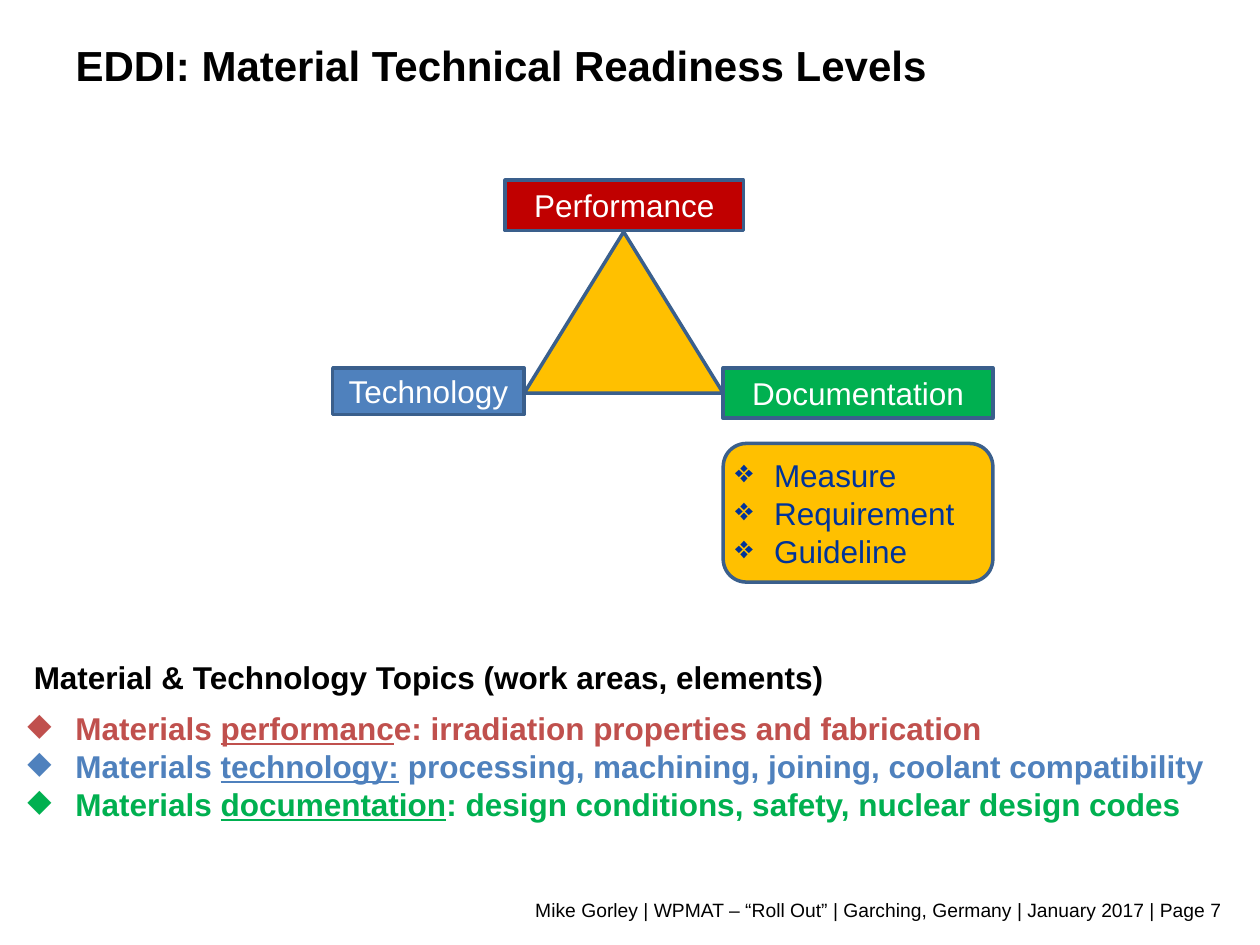
"""Build the material technical readiness levels slide."""
from dataclasses import dataclass

import lxml.etree
import pptx
import pptx.dml.color
import pptx.enum.shapes
import pptx.enum.text
import pptx.oxml.ns
import pptx.util

Inches = pptx.util.Inches
Shape = pptx.enum.shapes.MSO_SHAPE
Align = pptx.enum.text.PP_ALIGN
Anchor = pptx.enum.text.MSO_ANCHOR

BLACK, WHITE, NAVY = "000000", "FFFFFF", "003399"
RED, BLUE, GREEN, AMBER, OUTLINE = "C00000", "4F81BD", "00B050", "FFC000", "3A5F8C"
PLAIN_INSETS = (0.1, 0.05, 0.1, 0.05)


@dataclass
class Span:
    """A stretch of text with one underline setting."""
    text: str
    underline: bool = False


@dataclass
class Line:
    """One paragraph, with a hanging bullet if one is given."""
    spans: list[Span]
    color: str = BLACK
    size: int = 18
    bold: bool = False
    align: Align = Align.LEFT
    bullet: str = ""
    indent: float = 0


@dataclass
class Block:
    """A shape of the diagram with its place, fill and text."""
    kind: Shape
    place: tuple[float, float, float, float]
    fill: str
    lines: list[Line]
    insets: tuple[float, float, float, float] = PLAIN_INSETS


def rgb(value: str) -> pptx.dml.color.RGBColor:
    """Turn a hex string into a colour."""
    return pptx.dml.color.RGBColor.from_string(value)


def set_values(target: object, values: dict) -> None:
    """Set every named attribute of the target."""
    for name, value in values.items():
        setattr(target, name, value)


def set_place(shape, place: tuple[float, float, float, float]) -> None:
    """Move and size a shape, in inches."""
    set_values(shape, dict(zip(("left", "top", "width", "height"), map(Inches, place))))


def add_bullet(para, char: str, indent: float) -> None:
    """Give a paragraph a hanging bullet."""
    properties = para._p.get_or_add_pPr()
    properties.set("marL", str(Inches(indent)))
    properties.set("indent", str(-Inches(indent)))
    tag = pptx.oxml.ns.qn("a:buChar")
    lxml.etree.SubElement(properties, tag).set("char", char)


def write(frame, lines: list[Line], anchor: Anchor = Anchor.TOP,
          insets: tuple[float, float, float, float] = PLAIN_INSETS, wrap: bool = True) -> None:
    """Fill a text frame with formatted lines."""
    sides = ("margin_left", "margin_top", "margin_right", "margin_bottom")
    set_values(frame, {"word_wrap": wrap, "vertical_anchor": anchor,
                       **dict(zip(sides, map(Inches, insets)))})
    for index, line in enumerate(lines):
        para = frame.add_paragraph() if index else frame.paragraphs[0]
        para.alignment = line.align
        if line.bullet:
            add_bullet(para, line.bullet, line.indent)
        for span in line.spans:
            run = para.add_run()
            run.text = span.text
            set_values(run.font, {"name": "Arial", "size": pptx.util.Pt(line.size),
                                  "bold": line.bold, "underline": span.underline})
            run.font.color.rgb = rgb(line.color)


def add_block(page, block: Block) -> None:
    """Draw one outlined shape of the diagram."""
    shape = page.shapes.add_shape(block.kind, *map(Inches, block.place))
    shape.shadow.inherit = False
    shape.fill.solid()
    shape.fill.fore_color.rgb = rgb(block.fill)
    shape.line.color.rgb = rgb(OUTLINE)
    shape.line.width = pptx.util.Pt(2)
    if block.lines:
        write(shape.text_frame, block.lines, Anchor.MIDDLE, block.insets)


def add_text(page, place: tuple[float, float, float, float], lines: list[Line],
             wrap: bool = True) -> None:
    """Add a plain text box."""
    box = page.shapes.add_textbox(*map(Inches, place))
    write(box.text_frame, lines, wrap=wrap)


def label(text: str, place: tuple[float, float, float, float], fill: str) -> Block:
    """Describe a corner label of the triangle."""
    return Block(Shape.RECTANGLE, place, fill, [Line([Span(text)], WHITE, align=Align.CENTER)])


def topic(word: str, rest: str, color: str) -> Line:
    """Describe a bulleted topic with its key word underlined."""
    spans = [Span("Materials "), Span(word, True), Span(rest)]
    return Line(spans, color, bold=True, bullet="◆", indent=0.38)


BLOCKS = [
    Block(Shape.ISOSCELES_TRIANGLE, (4.16, 1.84, 1.58, 1.28), AMBER, []),
    label("Performance", (4.01, 1.43, 1.89, 0.4), RED),
    label("Technology", (2.64, 2.92, 1.52, 0.37), BLUE),
    label("Documentation", (5.74, 2.92, 2.14, 0.4), GREEN),
    Block(Shape.ROUNDED_RECTANGLE, (5.74, 3.52, 2.14, 1.1), AMBER,
          [Line([Span(text)], NAVY, bullet="❖", indent=0.31)
           for text in ("Measure", "Requirement", "Guideline")],
          (0.04, 0.05, 0.04, 0.05)),
]
TOPICS = [
    topic("performanc", "e: irradiation properties and fabrication", "C0504D"),
    topic("technology:", " processing, machining, joining, coolant compatibility", BLUE),
    topic("documentation", ": design conditions, safety, nuclear design codes", GREEN),
]
HEADING = "Material & Technology Topics (work areas, elements)"
FOOTER = "Mike Gorley | WPMAT – “Roll Out” | Garching, Germany | January 2017 | Page 7"


def main() -> None:
    """Build and save the deck."""
    deck = pptx.Presentation()
    set_values(deck, {"slide_width": Inches(10), "slide_height": Inches(7.5)})
    page = deck.slides.add_slide(deck.slide_layouts[5])
    title = page.shapes.title
    set_place(title, (0.5, 0.03, 8.12, 0.97))
    write(title.text_frame, [Line([Span("EDDI: Material Technical Readiness Levels")],
                                  size=24, bold=True)], Anchor.MIDDLE)
    for block in BLOCKS:
        add_block(page, block)
    add_text(page, (0.17, 5.17, 6.53, 0.4), [Line([Span(HEADING)], bold=True)], wrap=False)
    add_text(page, (0.12, 5.58, 9.76, 1.01), TOPICS)
    add_text(page, (0.79, 7.08, 9.01, 0.29), [Line([Span(FOOTER)], size=11, align=Align.RIGHT)])
    deck.save("out.pptx")


if __name__ == "__main__":
    main()
